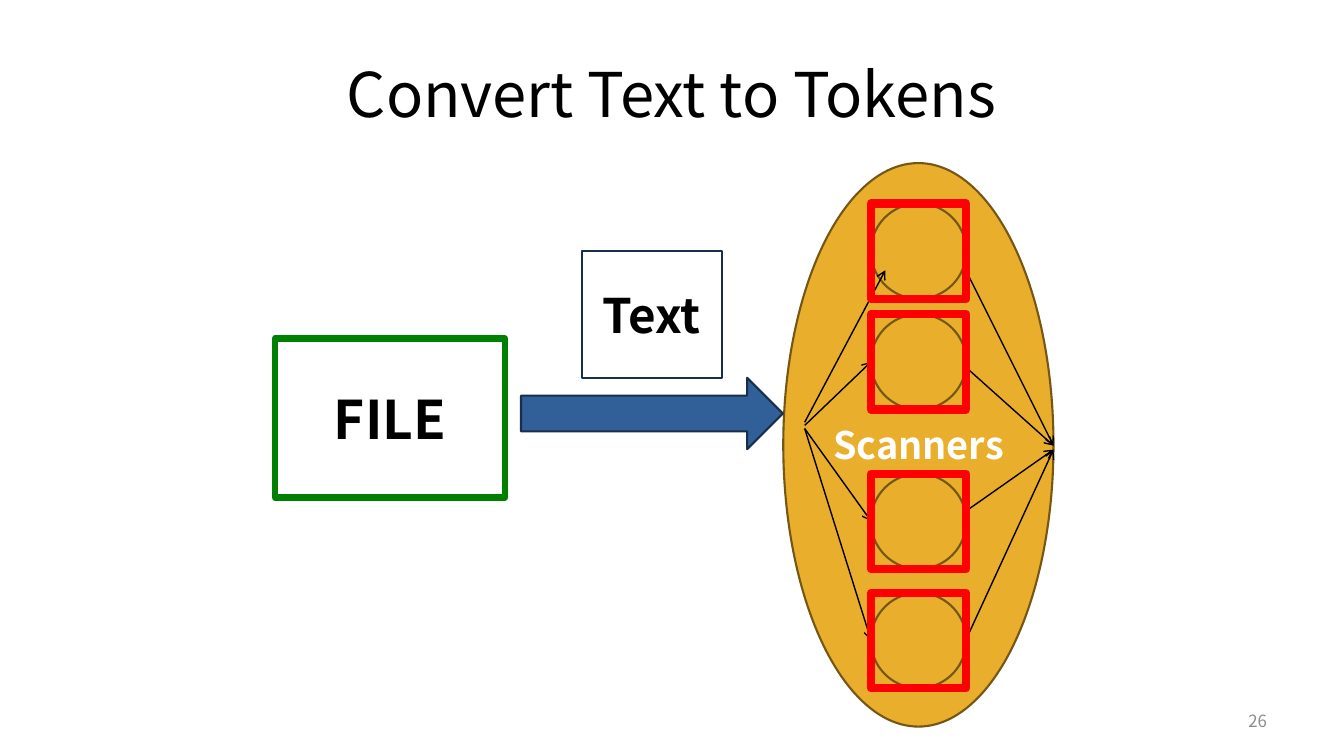
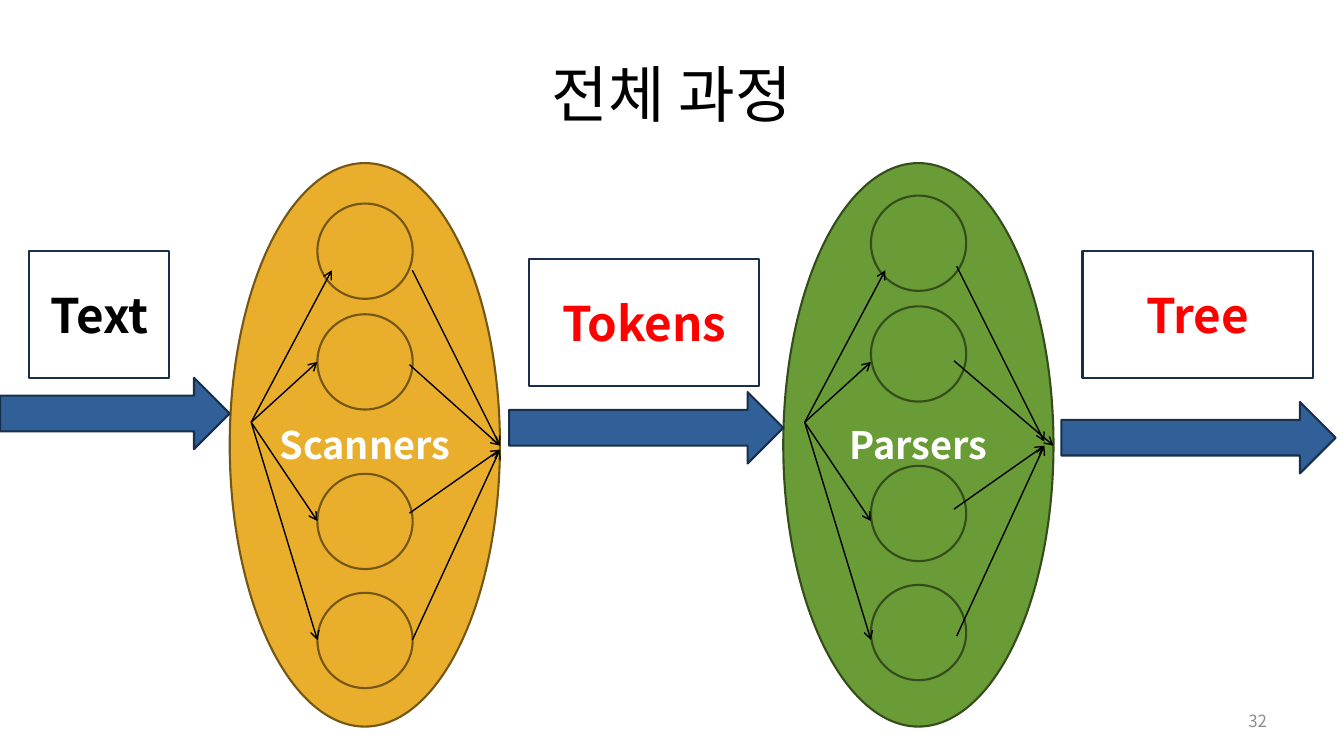
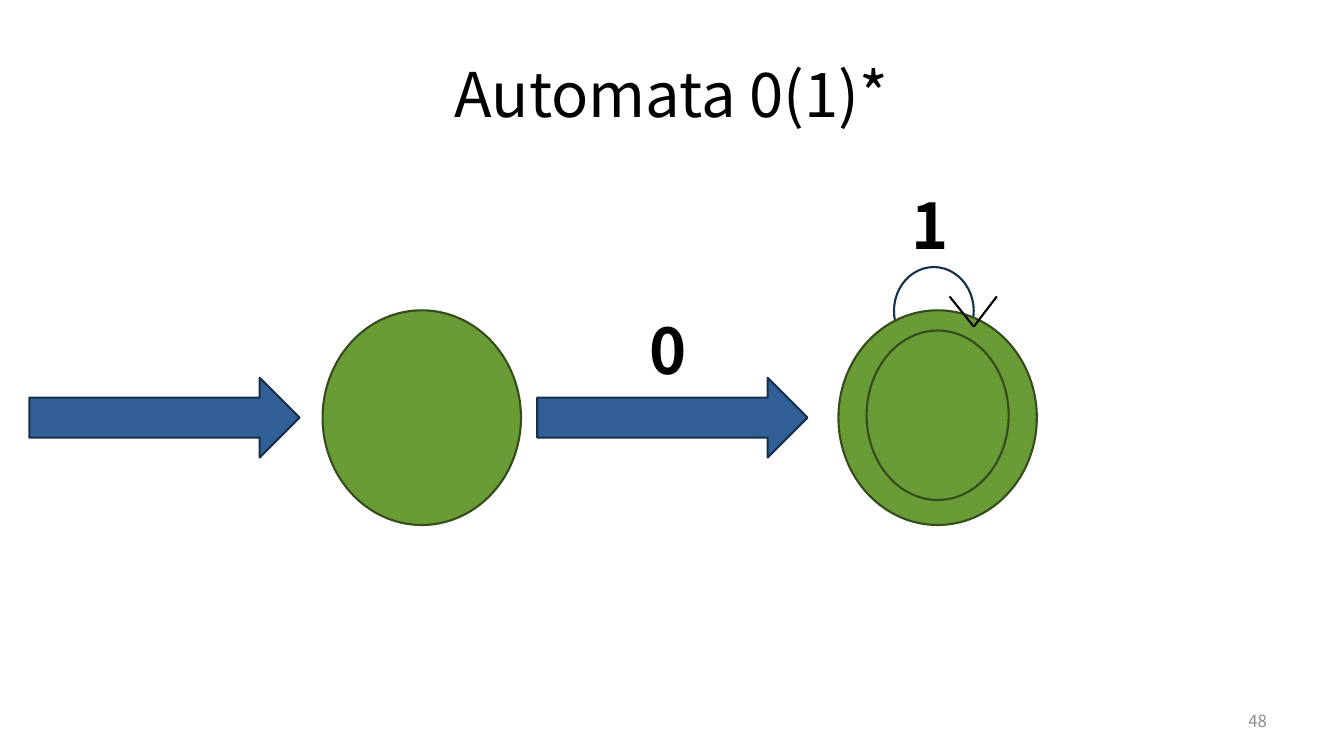
from pptx import Presentation
from pptx import util as u
from pptx.dml import color
from pptx.enum import shapes, text
from pptx.oxml import ns
from lxml import etree

FONT = "Noto Sans CJK KR"
BLACK, WHITE, RED, GREY = "000000", "FFFFFF", "FF0000", "8C8C8C"
NAVY, BLUE, FRAME = "182F4B", "315F97", "008000"
GOLD, GREEN = ("E9AE2B", "745615"), ("699B37", "344D1B")

OVAL, RECT, ARROW = (shapes.MSO_SHAPE.OVAL, shapes.MSO_SHAPE.RECTANGLE,
                     shapes.MSO_SHAPE.RIGHT_ARROW)
LEFT, MID, RIGHT = (text.PP_ALIGN.LEFT, text.PP_ALIGN.CENTER,
                    text.PP_ALIGN.RIGHT)

# Machine layout in cm: x runs from the left edge of the big oval
TOP, WIDE, HIGH = 4.11, 6.81, 14.2
DOT, DOT_X, DOT_YS = 2.4, 2.21, (5.13, 7.92, 11.94, 14.94)
ENDS = ((2.57, 6.81), (2.21, 9.12), (2.21, 13.13), (2.21, 16.13))
EXITS = ((4.6, 6.81, 11.23), (4.53, 9.19, 11.23),
         (4.53, 12.93, 11.33), (4.6, 16.13, 11.33))


def rgb(code):
    return color.RGBColor.from_string(code)


def sub(node, tag, **attrs):
    return etree.SubElement(node, ns.qn(tag), attrs)


def cms(*sizes):
    return [u.Cm(size) for size in sizes]


# Text
def write(shape, words, size, ink=BLACK, bold=False, align=MID,
          anchor=text.MSO_ANCHOR.MIDDLE):
    frame = shape.text_frame
    frame.word_wrap = True
    frame.vertical_anchor = anchor
    para = frame.paragraphs[0]
    para.alignment = align
    run = para.add_run()
    run.text = words
    font = run.font
    font.size, font.bold = u.Pt(size), bold
    font.color.rgb = rgb(ink)
    font.name = FONT
    sub(run._r.get_or_add_rPr(), "a:ea", typeface=FONT)


def label(slide, box, words, size, **style):
    write(slide.shapes.add_textbox(*cms(*box)), words, size, **style)


# Shapes and lines
def draw(slide, kind, box, fill=None, line=NAVY, width=1.5, alpha=None):
    shape = slide.shapes.add_shape(kind, *cms(*box))
    shape.shadow.inherit = False
    if fill:
        shape.fill.solid()
        shape.fill.fore_color.rgb = rgb(fill)
        if alpha:
            node = shape._element.spPr.find(".//" + ns.qn("a:srgbClr"))
            sub(node, "a:alpha", val=str(alpha * 1000))
    else:
        shape.fill.background()
    shape.line.color.rgb = rgb(line)
    shape.line.width = u.Pt(width)
    frame = shape.text_frame
    frame.margin_left = frame.margin_right = 0
    return shape


def link(slide, x1, y1, x2, y2, width=1, head=True):
    line = slide.shapes.add_connector(shapes.MSO_CONNECTOR.STRAIGHT,
                                      *cms(x1, y1, x2, y2))
    line.line.color.rgb = rgb(BLACK)
    line.line.width = u.Pt(width)
    if head:
        sub(line.line._get_or_add_ln(), "a:tailEnd", type="arrow")
    sub(line._element.spPr, "a:effectLst")


def card(slide, x, y, wide, words, ink=BLACK):
    box = draw(slide, RECT, (x, y, wide, 3.2), WHITE, alpha=77)
    write(box, words, 34, ink, True)


def arrow(slide, x, y, wide, high=1.8):
    draw(slide, ARROW, (x, y, wide, high), BLUE)


def state(slide, box, hue=GREEN):
    return draw(slide, OVAL, box, *hue)


def dots(x, rise=0):
    return [(x + DOT_X, y - rise, DOT, DOT) for y in DOT_YS]


# Big oval with four dots, lines fanning in and lines meeting at the right.
# The tip of a line listed in fixed does not follow the shift.
def engine(slide, x, words, hue, starts=(10.64,) * 4, rise=0,
           shift=(0, 0), fixed=()):
    write(state(slide, (x, TOP, WIDE, HIGH), hue), words, 27, WHITE, True)
    for box in dots(x, rise):
        state(slide, box, hue)
    for start, (ex, ey) in zip(starts, ENDS):
        link(slide, x + 0.54, start, x + ex, ey)
    dx, dy = shift
    for num, (ox, oy, tip) in enumerate(EXITS):
        tx, ty = (0, 0) if num in fixed else shift
        link(slide, x + ox + dx, oy + dy, x + WIDE + tx, tip + ty)


# Slides
def page(deck, title, number):
    slide = deck.slides.add_slide(deck.slide_layouts[6])
    label(slide, (1.69, 0.76, 30.48, 3.18), title, 44)
    label(slide, (24.28, 17.65, 7.9, 1.02), str(number), 12,
          ink=GREY, align=RIGHT)
    return slide


def tokens(deck):
    slide = page(deck, "Convert Text to Tokens", 26)
    left = 19.74
    engine(slide, left, "Scanners", GOLD, (10.64, 10.72, 10.8, 10.8))
    card(slide, 14.66, 6.32, 3.53, "Text")
    arrow(slide, 13.13, 9.52, 6.6)
    for box in dots(left):
        draw(slide, RECT, box, line=RED, width=6)
    file = draw(slide, RECT, (6.93, 8.53, 5.8, 4.01), line=FRAME, width=4.5)
    write(file, "FILE", 38, bold=True)


def process(deck):
    slide = page(deck, "전체 과정", 32)
    engine(slide, 5.79, "Scanners", GOLD)
    engine(slide, 19.74, "Parsers", GREEN, rise=0.2,
           shift=(-0.23, -0.1), fixed=(1,))
    for x, y, wide in ((0, 9.52, 5.79), (12.83, 9.88, 6.91),
                       (26.75, 10.13, 6.91)):
        arrow(slide, x, y, wide)
    card(slide, 0.74, 6.32, 3.53, "Text")
    card(slide, 13.34, 6.53, 5.8, "Tokens", RED)
    card(slide, 27.28, 6.32, 5.8, "Tree", RED)


def automata(deck):
    slide = page(deck, "Automata 0(1)*", 48)
    draw(slide, OVAL, (22.53, 6.73, 2.01, 2.21))
    for box in ((8.13, 7.82, 5, 5.41), (21.13, 7.82, 5, 5.41),
                (21.84, 8.33, 3.58, 4.27)):
        state(slide, box)
    for x in (0.74, 13.54):
        arrow(slide, x, 9.52, 6.81, 2.01)
    for x, y, words in ((16.13, 7.72, "0"), (22.73, 4.57, "1")):
        label(slide, (x, y, 3.61, 2.16), words, 45, bold=True,
              align=LEFT, anchor=text.MSO_ANCHOR.TOP)
    # Head of the loop
    for x in (23.93, 25.12):
        link(slide, x, 7.47, 24.54, 8.23, 1.5, False)


def main():
    deck = Presentation()
    deck.slide_width, deck.slide_height = cms(33.87, 19.05)
    for build in (tokens, process, automata):
        build(deck)
    deck.save("out.pptx")


if __name__ == "__main__":
    main()
